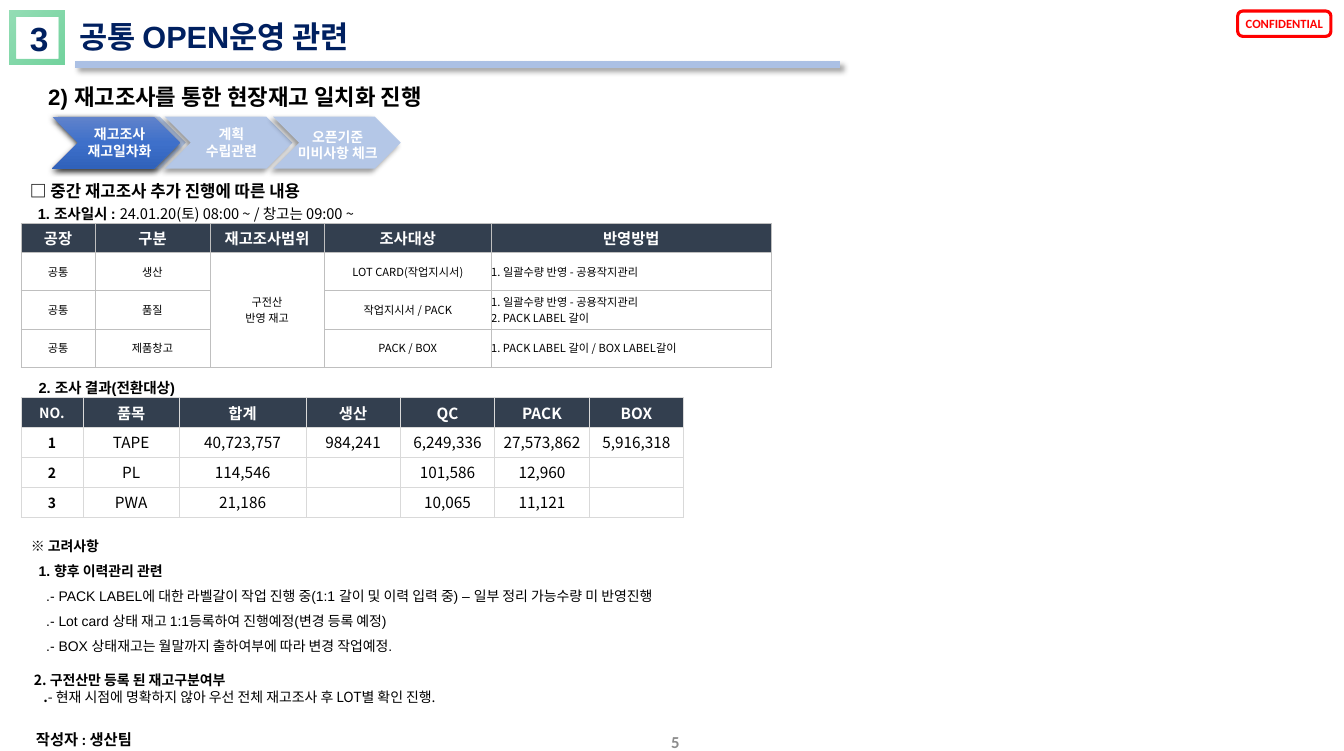
from lxml.etree import SubElement
from pptx import Presentation
from pptx.dml.color import RGBColor
from pptx.enum.shapes import MSO_CONNECTOR, MSO_SHAPE
from pptx.enum.text import MSO_ANCHOR, MSO_AUTO_SIZE, PP_ALIGN
from pptx.oxml.ns import qn
from pptx.util import Cm, Pt

COLORS = {
    "navy": "002060", "black": "000000", "white": "FFFFFF", "red": "FF0000",
    "gray": "8C8C8C", "green": "00B050", "rule": "ABC0E4", "step": "B4C7E7",
    "header": "333F4F", "grid1": "BFBFBF", "grid2": "D9D9D9",
    "blue1": "6183CB", "blue2": "3E70CA", "blue3": "3062BB",
}
KOREAN = "Noto Sans CJK KR"
CENTER, RIGHT = PP_ALIGN.CENTER, PP_ALIGN.RIGHT
SOFT = (40, 4, 3, 135)


def rgb(name):
    return RGBColor.from_string(COLORS[name])


def add_color(parent, name, alpha=100):
    clr = SubElement(parent, qn("a:srgbClr"), val=COLORS[name])
    if alpha < 100:
        SubElement(clr, qn("a:alpha"), val=str(alpha * 1000))


class SlideBuilder:
    base = {"name": "Arial", "size": 10, "bold": True, "color": "black"}

    def __init__(self, slide):
        self.s = slide

    def run(self, p, text, **fmt):
        fmt = {**self.base, **fmt}
        r = p.add_run()
        r.text = text
        r.font.color.rgb = rgb(fmt.pop("color"))
        fmt["size"] = Pt(fmt["size"])
        for key, value in fmt.items():
            setattr(r.font, key, value)
        SubElement(r.font._element, qn("a:ea"), typeface=KOREAN)

    def fill_text(self, tf, paras, align=None, spacing=None, **fmt):
        """Each paragraph is a string or (runs, indent in cm, paragraph format)."""
        for i, para in enumerate(paras):
            runs, indent, pfmt = para if isinstance(para, tuple) else ([(para, {})], 0, {})
            p = tf.paragraphs[0] if i == 0 else tf.add_paragraph()
            for key, value in {"alignment": align, "line_spacing": spacing, **pfmt}.items():
                setattr(p, key, value)
            if indent:
                p._p.get_or_add_pPr().set("marL", str(Cm(indent)))
            for text, own in runs:
                self.run(p, text, **{**fmt, **own})

    def text(self, box, paras, wrap=True, anchor=MSO_ANCHOR.TOP, **fmt):
        tf = self.s.shapes.add_textbox(*map(Cm, box)).text_frame
        tf.word_wrap, tf.vertical_anchor = wrap, anchor
        self.fill_text(tf, paras, **fmt)

    def title(self, box, text, **fmt):
        sp = self.s.shapes.title
        sp.left, sp.top, sp.width, sp.height = map(Cm, box)
        tf = sp.text_frame
        tf.vertical_anchor, tf.auto_size = MSO_ANCHOR.TOP, MSO_AUTO_SIZE.NONE
        self.fill_text(tf, [text], **fmt)

    def shadow(self, sp, alpha, blur, dist, angle):
        effects = sp._element.spPr.find(qn("a:effectLst"))
        if effects is None:
            effects = SubElement(sp._element.spPr, qn("a:effectLst"))
        outer = SubElement(effects, qn("a:outerShdw"), blurRad=str(Pt(blur)),
                           dist=str(Pt(dist)), dir=str(angle * 60000),
                           algn="ctr", rotWithShape="0")
        add_color(outer, "black", alpha)

    def shape(self, kind, box, fill=None, grad=None, angle=0, line=None, shadow=None):
        sp = self.s.shapes.add_shape(kind, *map(Cm, box))
        sp.shadow.inherit = False
        if grad:
            sp.fill.gradient()
            sp.fill.gradient_angle = 360 - angle
            stops = sp._element.spPr.find(qn("a:gradFill")).find(qn("a:gsLst"))
            for old in list(stops):
                stops.remove(old)
            for pos, name, alpha in grad:
                add_color(SubElement(stops, qn("a:gs"), pos=str(pos * 1000)), name, alpha)
        elif fill:
            sp.fill.solid()
            sp.fill.fore_color.rgb = rgb(fill)
        else:
            sp.fill.background()
        if line:
            sp.line.color.rgb, sp.line.width = rgb(line[0]), Pt(line[1])
        else:
            sp.line.fill.background()
        if shadow:
            self.shadow(sp, *shadow)
        return sp

    def line(self, points, color, width, shadow):
        sp = self.s.shapes.add_connector(MSO_CONNECTOR.STRAIGHT, *map(Cm, points))
        sp.line.color.rgb, sp.line.width = rgb(color), Pt(width)
        self.shadow(sp, *shadow)

    def table(self, left, top, widths, heights, rows, grid, style, merge=None):
        """style(row, col) gives the text format of a cell."""
        frame = self.s.shapes.add_table(len(rows), len(widths), *map(
            Cm, (left, top, sum(widths), sum(heights))))
        tbl = frame.table
        tbl.horz_banding = False
        for items, attr, sizes in ((tbl.columns, "width", widths), (tbl.rows, "height", heights)):
            for item, size in zip(items, sizes):
                setattr(item, attr, Cm(size))
        if merge:
            tbl.cell(*merge[0]).merge(tbl.cell(*merge[1]))
        for i, row in enumerate(rows):
            for j, text in enumerate(row):
                cell = tbl.cell(i, j)
                cell.vertical_anchor = MSO_ANCHOR.MIDDLE
                for side in ("left", "right", "top", "bottom"):
                    setattr(cell, "margin_" + side, 0)
                for side in "LRTB":
                    ln = SubElement(cell._tc.get_or_add_tcPr(), qn("a:ln" + side), w=str(Pt(0.5)))
                    add_color(SubElement(ln, qn("a:solidFill")), grid)
                if i == 0:
                    cell.fill.solid()
                    cell.fill.fore_color.rgb = rgb("header")
                else:
                    cell.fill.background()
                fmt = {"name": KOREAN, "align": CENTER, "size": 11,
                       "color": "black" if i else "white", **style(i, j)}
                self.fill_text(cell.text_frame, text.split("\n"), **fmt)


def main():
    prs = Presentation()
    prs.slide_width, prs.slide_height = Cm(34.01), Cm(19)
    b = SlideBuilder(prs.slides.add_slide(prs.slide_layouts[5]))

    # Header
    b.shape(MSO_SHAPE.FRAME, (0.25, 0.28, 1.37, 1.35), angle=225,
            grad=[(0, "green", 56), (100, "green", 42)])
    b.line((21.26, 1.63, 1.9, 1.63), "rule", 4.5, (40, 4, 3, 45))
    b.text((0.51, 0.33, 1.02, 1.27), ["3"], wrap=False, size=24, color="navy")
    b.title((1.75, 0.33, 15.39, 1.19), "공통 OPEN운영 관련",
            size=22, color="navy", align=PP_ALIGN.LEFT)
    stamp = b.shape(MSO_SHAPE.ROUNDED_RECTANGLE, (31.32, 0.28, 2.36, 0.64), line=("red", 2.25))
    stamp.adjustments[0] = 0.2
    b.text((31.09, 0.28, 2.82, 0.64), ["CONFIDENTIAL"],
           name="Calibri", size=9, color="red", align=CENTER)
    b.text((0.97, 1.65, 11.56, 1.14), ["2) 재고조사를 통한 현장재고 일치화 진행"],
           wrap=False, size=16, spacing=1.5)

    # Process steps
    for x in (1.47, 4.17, 6.91):
        b.shape(MSO_SHAPE.CHEVRON, (x, 2.95, 3.23, 1.32), fill="step", shadow=SOFT)
    b.shape(MSO_SHAPE.CHEVRON, (1.32, 2.95, 3.23, 1.32), angle=90, shadow=(63, 4.5, 1.5, 90),
            grad=[(0, "blue1", 100), (50, "blue2", 100), (100, "blue3", 100)])
    for x, y, w, label in ((1.68, 3.05, 2.69, ["재고조사", "재고일차화"]),
                           (4.65, 3.05, 2.41, ["계획", "수립관련"]),
                           (7.11, 3.12, 2.87, ["오픈기준", "미비사항 체크"])):
        b.text((x, y, w, 1.02), label, name="Calibri", color="white", align=CENTER)

    # Stock count scope
    plain = {"name": KOREAN, "bold": False}
    b.text((0.51, 4.45, 16.99, 0.76), ["□ 중간 재고조사 추가 진행에 따른 내용"],
           name="Calibri", size=12)
    b.text((0.51, 4.83, 9.63, 0.84),
           [([("1. 조사일시 : ", {}), ("24.01.20(토) 08:00 ~ / 창고는 09:00 ~", plain)], 0.2, {})],
           wrap=False, size=10.5, spacing=1.5)
    scope = [
        ["공장", "구분", "재고조사범위", "조사대상", "반영방법"],
        ["공통", "생산", "구전산\n반영 재고", "LOT CARD(작업지시서)", "1. 일괄수량 반영 - 공용작지관리"],
        ["공통", "품질", "", "작업지시서 / PACK",
         "1. 일괄수량 반영 - 공용작지관리\n2. PACK LABEL 갈이"],
        ["공통", "제품창고", "", "PACK / BOX", "1. PACK LABEL 갈이 / BOX LABEL갈이"],
    ]
    b.table(0.53, 5.66, [1.88, 2.9, 2.9, 4.22, 7.09], [0.72] + [0.97] * 3, scope, "grid1",
            lambda i, j: {"size": 8, "bold": False,
                          "align": PP_ALIGN.LEFT if j == 4 else CENTER} if i else {},
            merge=((1, 2), (3, 2)))

    # Stock count result
    b.text((0.53, 9.25, 4.62, 0.84), [([("2. 조사 결과(전환대상)", {})], 0.2, {})],
           wrap=False, size=10.5, spacing=1.5)
    result = [
        ["NO.", "품목", "합계", "생산", "QC", "PACK", "BOX"],
        ["1", "TAPE", "40,723,757", "984,241", "6,249,336", "27,573,862", "5,916,318"],
        ["2", "PL", "114,546", "", "101,586", "12,960", ""],
        ["3", "PWA", "21,186", "", "10,065", "11,121", ""],
    ]
    b.table(0.53, 10.06, [1.57, 2.44, 3.2] + [2.39] * 4, [0.75] * 4, result, "grid2",
            lambda i, j: {"size": 11 if j else 10, "bold": i == 0 or j == 0})

    # Considerations
    single = {"line_spacing": 1}
    details = [
        ".- PACK LABEL에 대한 라벨갈이 작업 진행 중(1:1 갈이 및 이력 입력 중) – 일부 정리 가능수량 미 반영진행",
        ".- Lot card 상태 재고 1:1등록하여 진행예정(변경 등록 예정)",
        ".- BOX 상태재고는 월말까지 출하여부에 따라 변경 작업예정.",
    ]
    b.text((0.53, 13.26, 19.84, 4.75), [
        "※ 고려사항",
        ([("1. 향후 이력관리 관련", {})], 0.2, {}),
        *[([(text, {"bold": False})], 0.39, {}) for text in details],
        ([("2. 구전산만 등록 된 재고구분여부", {"name": KOREAN})], 0.08,
         {**single, "space_before": Pt(12)}),
        ([(".", {"name": KOREAN}),
          ("- 현재 시점에 명확하지 않아 우선 전체 재고조사 후 LOT별 확인 진행.", plain)], 0.32, single),
    ], spacing=1.5)

    # Footer
    b.text((0.66, 18.36, 3.15, 0.74), ["작성자 : 생산팀"], wrap=False, name="Calibri", size=11)
    b.text((14.73, 18.26, 2.72, 1.02), ["5"], anchor=MSO_ANCHOR.MIDDLE,
           name="Calibri", size=12, color="gray", align=RIGHT)

    prs.save("out.pptx")


if __name__ == "__main__":
    main()
